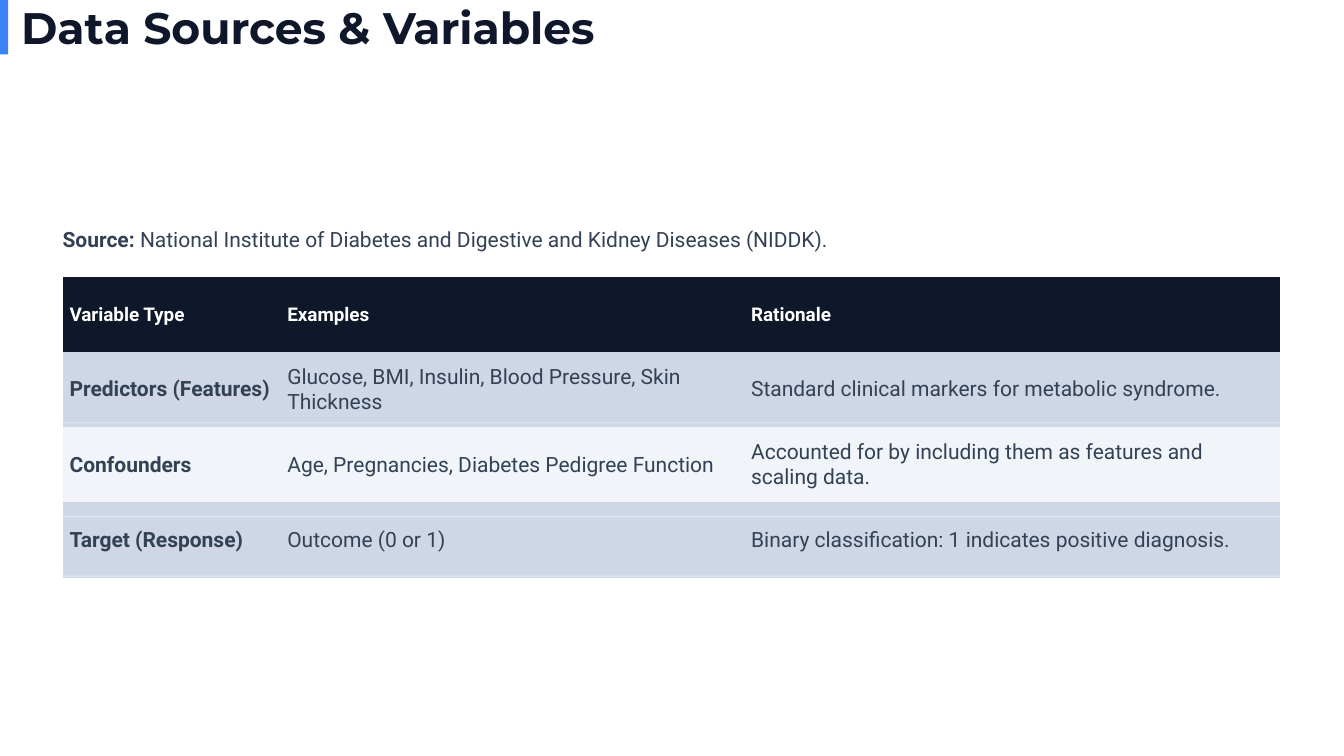
from dataclasses import dataclass
from itertools import accumulate
from pptx import Presentation
from pptx.dml.color import RGBColor
from pptx.enum.shapes import MSO_SHAPE
from pptx.enum.text import MSO_ANCHOR
from pptx.util import Inches, Pt


@dataclass(frozen=True)
class Theme:
    navy: str = "0F172A"
    blue: str = "3B82F6"
    slate: str = "334155"
    white: str = "FFFFFF"
    band: str = "CFD7E7"
    pale: str = "F1F5F9"
    rule: str = "E2E8F0"
    head: str = "Montserrat"
    body: str = "Roboto"
    title: float = 31.5
    text: float = 15
    label: float = 13.5
    plain: str = "{2D5ABB26-0587-4C30-8999-92F81FD0307C}"  # table style without borders


class Page:
    def __init__(self, deck, theme):
        self.theme = theme
        self.slide = deck.slides.add_slide(deck.slide_layouts[6])
        self.shapes = self.slide.shapes
        back = self.slide.background.fill
        back.solid()
        back.fore_color.rgb = RGBColor.from_string(theme.white)

    def run(self, para, text, size, color, bold=False, face=None):
        run = para.add_run()
        run.text = text
        font = run.font
        font.name = face or self.theme.body
        font.size = Pt(size)
        font.bold = bold
        font.color.rgb = RGBColor.from_string(color)

    def text(self, left, top, width, height):
        box = self.shapes.add_textbox(*map(Inches, (left, top, width, height)))
        frame = box.text_frame
        frame.word_wrap = True
        frame.margin_left = frame.margin_right = 0
        frame.margin_top = frame.margin_bottom = 0
        return frame.paragraphs[0]

    def rect(self, left, top, width, height, color):
        bar = self.shapes.add_shape(
            MSO_SHAPE.RECTANGLE, *map(Inches, (left, top, width, height)))
        bar.shadow.inherit = False
        bar.fill.solid()
        bar.fill.fore_color.rgb = RGBColor.from_string(color)
        bar.line.fill.background()

    def table(self, left, top, widths, height, rows):
        theme = self.theme
        frame = self.shapes.add_table(
            len(rows), len(widths),
            *map(Inches, (left, top, sum(widths), height)))
        grid = frame.table
        grid._tbl.tblPr[0].text = theme.plain
        for col, width in zip(grid.columns, widths):
            col.width = Inches(width)
        for i, row in enumerate(rows):
            grid.rows[i].height = Inches(height / len(rows))
            fill = theme.band if i % 2 else theme.pale
            size, color = theme.text, theme.slate
            if i == 0:
                fill, size, color = theme.navy, theme.label, theme.white
            for j, words in enumerate(row):
                cell = grid.cell(i, j)
                cell.fill.solid()
                cell.fill.fore_color.rgb = RGBColor.from_string(fill)
                cell.vertical_anchor = MSO_ANCHOR.MIDDLE
                cell.margin_left = cell.margin_right = Inches(0.07)
                cell.margin_top = cell.margin_bottom = Inches(0.03)
                bold = i == 0 or j == 0
                self.run(cell.text_frame.paragraphs[0], words, size, color, bold)


def main():
    deck = Presentation()
    deck.slide_width, deck.slide_height = Inches(13.33), Inches(7.5)
    theme = Theme()
    page = Page(deck, theme)

    # Title with accent bar
    title = page.text(0.21, 0, 13.12, 0.54)
    page.run(title, "Data Sources & Variables", theme.title, theme.navy, True, theme.head)
    page.rect(0, 0, 0.08, 0.54, theme.blue)

    # Source line
    left = 0.62
    source = page.text(left, 2.1, 12.08, 0.33)
    source.line_spacing = 1.6
    page.run(source, "Source:", theme.text, theme.slate, True)
    page.run(source, " National Institute of Diabetes and Digestive and Kidney Diseases (NIDDK).",
             theme.text, theme.slate)

    # Variables table
    widths = [2.16, 4.6, 5.32]
    page.table(left, 2.75, widths, 2.98, [
        ("Variable Type", "Examples", "Rationale"),
        ("Predictors (Features)", "Glucose, BMI, Insulin, Blood Pressure, Skin Thickness",
         "Standard clinical markers for metabolic syndrome."),
        ("Confounders", "Age, Pregnancies, Diabetes Pedigree Function",
         "Accounted for by including them as features and scaling data."),
        ("Target (Response)", "Outcome (0 or 1)",
         "Binary classification: 1 indicates positive diagnosis."),
    ])

    # Thin rules, one per column
    for top in (4.19, 5.12, 5.71):
        for start, width in zip(accumulate(widths, initial=left), widths):
            page.rect(start, top, width, 0.01, theme.rule)

    deck.save("out.pptx")


if __name__ == "__main__":
    main()
